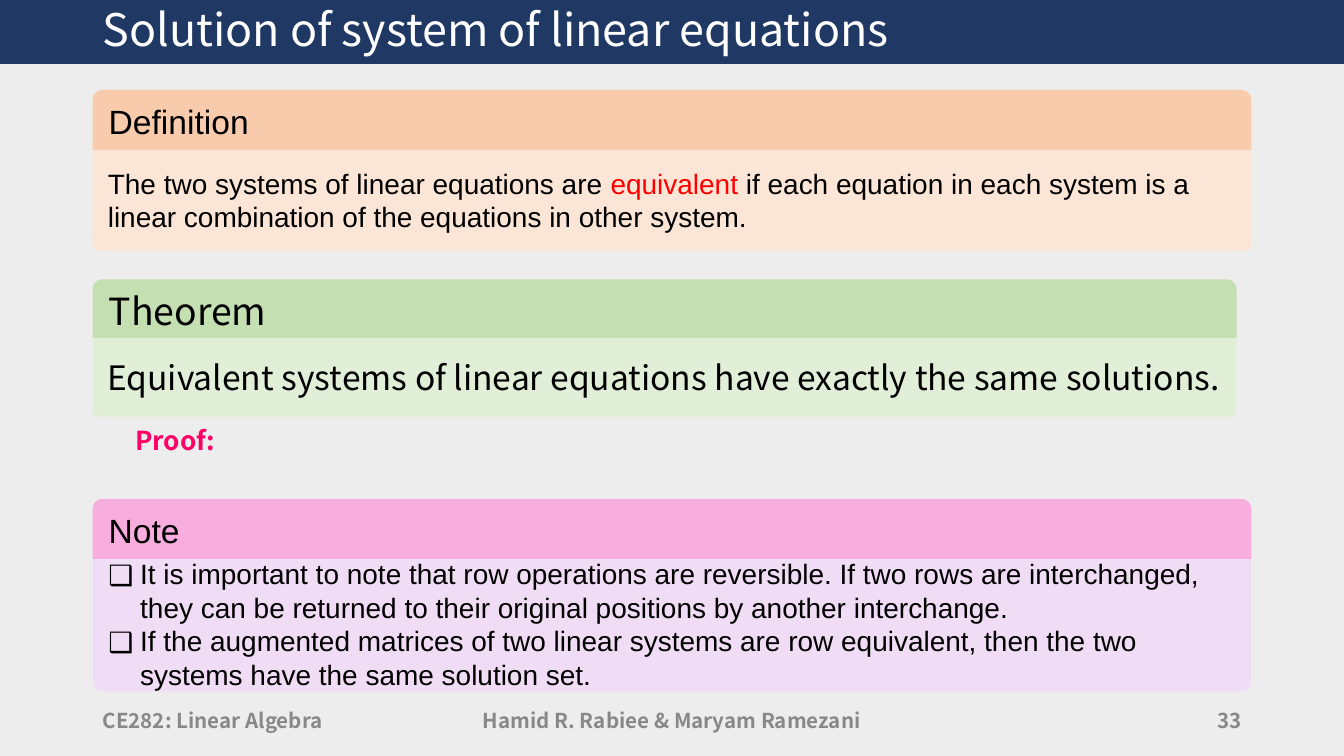
"""Build the slide on solutions of systems of linear equations."""
from lxml import etree
from pptx import Presentation
from pptx.dml.color import RGBColor
from pptx.enum import shapes, text
from pptx.oxml.ns import qn
from pptx.util import Cm, Pt

NAVY = RGBColor(0x1F, 0x38, 0x64)
PAPER = RGBColor(0xED, 0xED, 0xED)
WHITE = RGBColor(0xFF, 0xFF, 0xFF)
BLACK = RGBColor(0, 0, 0)
GREY = RGBColor(0x88, 0x88, 0x88)
RED = RGBColor(0xFF, 0, 0)
PINK = RGBColor(0xFF, 0, 0x66)
ORANGE = RGBColor(0xF8, 0xCB, 0xAD)
PEACH = RGBColor(0xFB, 0xE5, 0xD6)
GREEN = RGBColor(0xC4, 0xE0, 0xB2)
MINT = RGBColor(0xE1, 0xEF, 0xD8)
ROSE = RGBColor(0xF7, 0xAD, 0xDD)
LILAC = RGBColor(0xF0, 0xDC, 0xF4)
SANS = "Arial"
NOTO = "Noto Sans CJK JP"
LEFT = 1.75
LEFT_AL, CENTER, RIGHT_AL = text.PP_ALIGN.LEFT, text.PP_ALIGN.CENTER, text.PP_ALIGN.RIGHT
MIDDLE, TOP = text.MSO_ANCHOR.MIDDLE, text.MSO_ANCHOR.TOP


def add_panel(kind, x, y, w, h, color):
    sp = s.shapes.add_shape(kind, Cm(x), Cm(y), Cm(w), Cm(h))
    sp.shadow.inherit = False
    sp.fill.solid()
    sp.fill.fore_color.rgb = color
    sp.line.fill.background()
    return sp


def write(sp, paragraphs, size, font, color, bold=False, align=LEFT_AL,
          anchor=MIDDLE, inset=(0.25, 0.13), bullet=None):
    tf = sp.text_frame
    tf.word_wrap = True
    tf.vertical_anchor = anchor
    tf.margin_left = tf.margin_right = Cm(inset[0])
    tf.margin_top = tf.margin_bottom = Cm(inset[1])
    tf.text = "\n".join(paragraphs)
    for p in tf.paragraphs:
        p.alignment = align
        if bullet:
            pPr = p._p.get_or_add_pPr()
            pPr.set("marL", str(Cm(0.6)))
            pPr.set("indent", str(-Cm(0.6)))
            etree.SubElement(pPr, qn("a:buFont")).set("typeface", NOTO)
            etree.SubElement(pPr, qn("a:buChar")).set("char", bullet)
        for r in p.runs:
            r.font.size = Pt(size)
            r.font.name = font
            r.font.bold = bold
            r.font.color.rgb = color
    return tf


prs = Presentation()
prs.slide_width, prs.slide_height = Cm(25.4), Cm(14.29)
s = prs.slides.add_slide(prs.slide_layouts[6])
s.background.fill.solid()
s.background.fill.fore_color.rgb = PAPER

add_panel(shapes.MSO_SHAPE.RECTANGLE, 0, 0, 25.4, 1.21, NAVY)
title = s.shapes.add_textbox(Cm(LEFT), Cm(0.1), Cm(20.73), Cm(1))
tf = write(title, ["Solution of system of linear equations"], 24, NOTO, WHITE, inset=(0.19, 0.1))
tf.paragraphs[0].line_spacing = 0.9

footers = [
    (LEFT, 5.72, LEFT_AL, "CE282: Linear Algebra"),
    (8.41, 8.58, CENTER, "Hamid R. Rabiee & Maryam Ramezani"),
    (17.93, 5.72, RIGHT_AL, "33"),
]
for x, w, align, label in footers:
    sp = s.shapes.add_textbox(Cm(x), Cm(13.23), Cm(w), Cm(0.76))
    write(sp, [label], 11, NOTO, GREY, bold=True, align=align, inset=(0.19, 0.1))

cards = [
    ("Definition", 1.7, 21.9, 1.14, 1.91, ORANGE, PEACH, SANS, 18, 15, None,
     ["The two systems of linear equations are equivalent if each equation in each "
      "system is a linear combination of the equations in other system."]),
    ("Theorem", 5.28, 21.62, 1.11, 1.49, GREEN, MINT, NOTO, 20, 18, None,
     ["Equivalent systems of linear equations have exactly the same solutions."]),
    ("Note", 9.43, 21.9, 1.14, 2.5, ROSE, LILAC, SANS, 18, 15, "❑",
     ["It is important to note that row operations are reversible. If two rows are "
      "interchanged, they can be returned to their original positions by another interchange.",
      "If the augmented matrices of two linear systems are row equivalent, then the two "
      "systems have the same solution set."]),
]
bodies = {}
for name, y, w, head_h, body_h, dark, light, font, head_size, body_size, bullet, lines in cards:
    head = add_panel(shapes.MSO_SHAPE.ROUND_2_SAME_RECTANGLE, LEFT, y, w, head_h, dark)
    head.adjustments[0], head.adjustments[1] = 0.17, 0
    write(head, [name], head_size, font, BLACK)
    body = add_panel(shapes.MSO_SHAPE.ROUND_2_SAME_RECTANGLE, LEFT, y + head_h, w, body_h, light)
    body.adjustments[0], body.adjustments[1] = 0, 0.07
    bodies[name] = write(body, lines, body_size, font, BLACK, bullet=bullet)

p = bodies["Definition"].paragraphs[0]
before, term, after = p.text.partition("equivalent")
p.runs[0].text = before
for part, color in ((term, RED), (after, BLACK)):
    r = p.add_run()
    r.text = part
    r.font.size = Pt(15)
    r.font.name = SANS
    r.font.color.rgb = color

proof = s.shapes.add_textbox(Cm(2.31), Cm(7.77), Cm(4.22), Cm(1.12))
write(proof, ["Proof:"], 14, NOTO, PINK, bold=True, anchor=TOP, inset=(0.25, 0.25))

prs.save("out.pptx")
